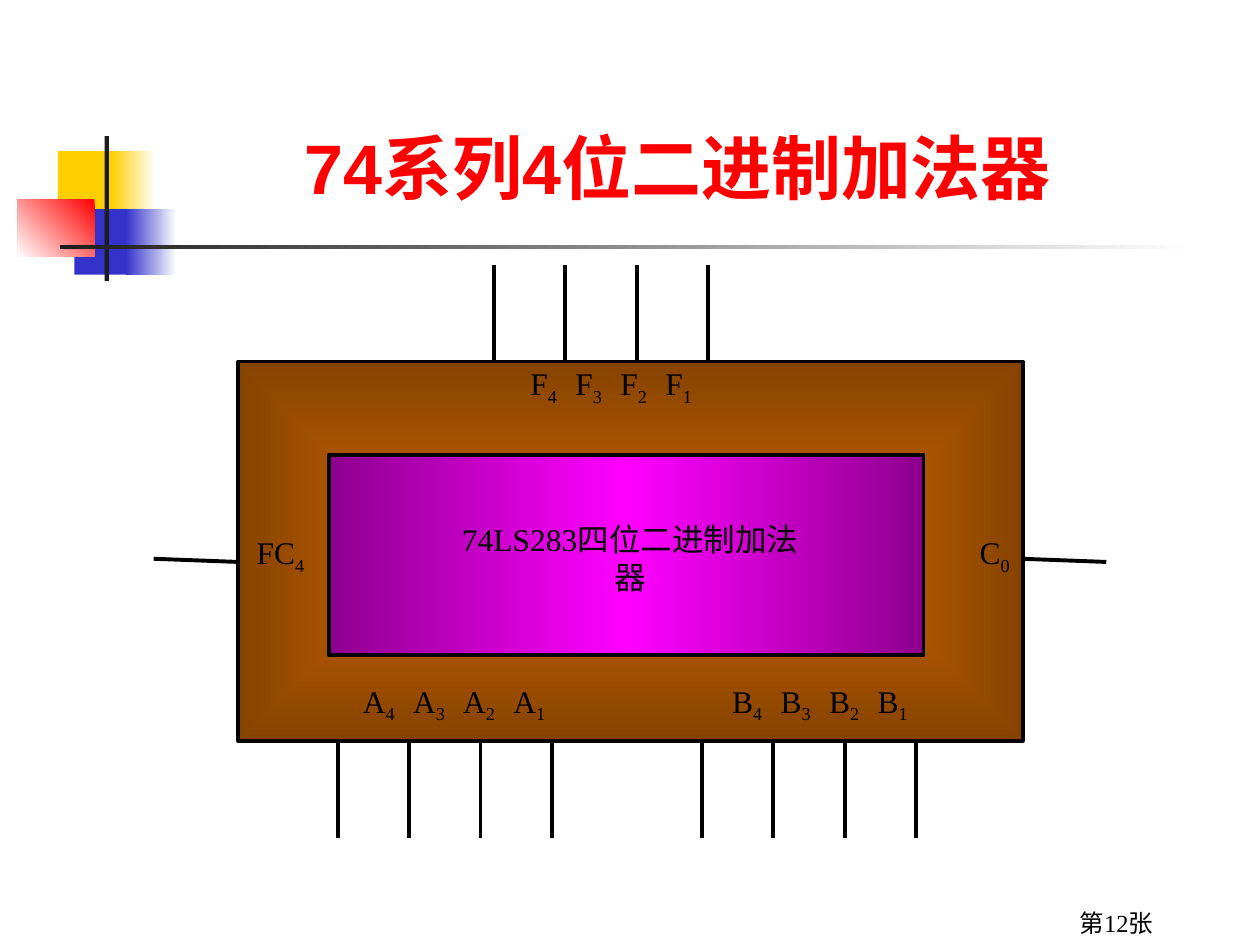
from collections import namedtuple
from lxml import etree
from pptx import Presentation
from pptx import util as u
from pptx.dml.color import RGBColor
from pptx.enum import shapes, text
from pptx.oxml.ns import qn

Box = namedtuple("Box", "x y w h")
CELL = u.Inches(10) // 100
THEME = dict(
    black="000000", ink="1C1C1C", white="FFFFFF", red="FF0000",
    yellow="FFCF01", blue="3333CC", brown="CC6600", brown_dark="864300",
    magenta="FF00FF", purple="8E008E",
    serif="Times New Roman", sans="Arial",
    title=40, label=18, footer=14, border=2, pin=2.25,
)


def cells(*values):
    return [round(v * CELL) for v in values]


def inside(box, x, y, w=0, h=0):
    return Box(box.x + x, box.y + y, w, h)


def rgb(name):
    return RGBColor.from_string(THEME[name])


def apply(obj, **values):
    for name, value in values.items():
        setattr(obj, name, value)


def gradient(sp, names, angle=None):
    sp.fill.gradient()
    grad = sp._element.spPr.find(qn("a:gradFill"))
    for child in list(grad):
        grad.remove(child)
    stops = etree.SubElement(grad, qn("a:gsLst"))
    for i, name in enumerate(names):
        gs = etree.SubElement(stops, qn("a:gs"), pos=str(100000 * i // (len(names) - 1)))
        etree.SubElement(gs, qn("a:srgbClr"), val=THEME[name])
    if angle is None:
        path = etree.SubElement(grad, qn("a:path"), path="rect")
        etree.SubElement(path, qn("a:fillToRect"), l="50000", t="50000", r="50000", b="50000")
    else:
        etree.SubElement(grad, qn("a:lin"), ang=str(angle * 60000), scaled="0")


def rect(s, box, names, angle=None, border=False):
    sp = s.shapes.add_shape(shapes.MSO_SHAPE.RECTANGLE, *cells(*box))
    sp.shadow.inherit = False
    if len(names) == 1:
        sp.fill.solid()
        sp.fill.fore_color.rgb = rgb(names[0])
    else:
        gradient(sp, names, angle)
    if border:
        sp.line.color.rgb = rgb("black")
        sp.line.width = u.Pt(THEME["border"])
    else:
        sp.line.fill.background()


def wire(s, start, end):
    ln = s.shapes.add_connector(
        shapes.MSO_CONNECTOR.STRAIGHT, *cells(start.x, start.y, end.x, end.y))
    ln.line.color.rgb = rgb("black")
    ln.line.width = u.Pt(THEME["pin"])
    etree.SubElement(ln._element.spPr, qn("a:effectLst"))


def label(s, box, runs, size="label", align=text.PP_ALIGN.CENTER,
          anchor=text.MSO_ANCHOR.MIDDLE, wrap=False, indent=1, tabs=()):
    tf = s.shapes.add_textbox(*cells(*box)).text_frame
    apply(tf, word_wrap=wrap, vertical_anchor=anchor, margin_left=cells(indent)[0])
    p = tf.paragraphs[0]
    p.alignment = align
    if tabs:
        stops = etree.SubElement(p._p.get_or_add_pPr(), qn("a:tabLst"))
        for pos in cells(*tabs):
            etree.SubElement(stops, qn("a:tab"), pos=str(pos), algn="l")
    for content, lowered in runs:
        r = p.add_run()
        r.text = content
        apply(r.font, size=u.Pt(THEME[size]), name=THEME["serif"])
        r.font.color.rgb = rgb("black")
        if lowered:
            r._r.get_or_add_rPr().set("baseline", "-25000")


def ornament(s, box):
    for x, y, w, h, names, angle in (
        (3.2, 1.2, 4.8, 5.2, ["yellow"], None),
        (7.4, 1.2, 3.6, 5.2, ["white", "yellow"], 180),
        (4.5, 5.8, 4.6, 5.2, ["blue"], None),
        (8.6, 5.8, 4, 5.2, ["white", "blue"], 180),
        (0, 5, 6.1, 4.6, ["red", "white"], 135),
        (6.9, 0, 0.35, 11.5, ["ink"], None),
        (3.4, 8.65, 90, 0.35, ["white", "ink"], 180),
    ):
        rect(s, inside(box, x, y, w, h), names, angle)


def title(s, box):
    sp = s.shapes.title
    for name, value in zip(("left", "top", "width", "height"), cells(*box)):
        setattr(sp, name, value)
    tf = sp.text_frame
    apply(tf, word_wrap=True, auto_size=text.MSO_AUTO_SIZE.NONE,
          vertical_anchor=text.MSO_ANCHOR.TOP)
    p = tf.paragraphs[0]
    p.alignment = text.PP_ALIGN.CENTER
    r = p.add_run()
    r.text = "74系列4位二进制加法器"
    apply(r.font, size=u.Pt(THEME["title"]), name=THEME["sans"], bold=True)
    r.font.color.rgb = rgb("red")


def bus(s, box, letter, label_y, pin_y, indent, pitch):
    for i in range(4):
        x = 2.6 + 5.67 * i
        wire(s, inside(box, x, pin_y), inside(box, x, pin_y + 7.75))
    runs = []
    for n in (4, 3, 2, 1):
        runs += [(letter, False), (f"{n}\t" if n > 1 else "1", True)]
    label(s, inside(box, 0, label_y, 23.8, 3.8), runs, align=text.PP_ALIGN.LEFT,
          indent=indent, tabs=[pitch * i for i in (1, 2, 3)])


def chip(s, box):
    rect(s, inside(box, 6.7, 7.7, 62.3, 30.1), ["brown", "brown_dark"], border=True)
    rect(s, inside(box, 13.9, 15.1, 47.2, 15.9), ["purple", "magenta", "purple"], 180, True)
    label(s, inside(box, 22.9, 20.5, 29.8, 5.6), [("74LS283四位二进制加法器", False)])
    for wire_x, label_x, name, digit in ((0, 6.7, "FC", "4"), (68.9, 63.4, "C", "0")):
        wire(s, inside(box, wire_x, 23.35), inside(box, wire_x + 6.7, 23.6))
        label(s, inside(box, label_x, 21.1, 6.7, 3.8), [(name, False), (digit, True)])
    for x, letter, label_y, pin_y, indent, pitch in (
        (24.4, "F", 7.7, 0, 5.5, 3.57),
        (12, "A", 32.9, 37.8, 4.6, 3.98),
        (40.9, "B", 32.9, 37.8, 5, 3.85),
    ):
        bus(s, inside(box, x, 0), letter, label_y, pin_y, indent, pitch)


def footer(s, box):
    label(s, box, [("第12张", False)], "footer", text.PP_ALIGN.RIGHT,
          text.MSO_ANCHOR.TOP, True)


def main():
    prs = Presentation()
    prs.slide_width, prs.slide_height = cells(100, 75)
    s = prs.slides.add_slide(prs.slide_layouts[5])
    ornament(s, Box(1.4, 10.8, 93.4, 11.5))
    title(s, Box(11.3, 9.4, 85, 9.8))
    chip(s, Box(12.2, 21, 75.6, 45.6))
    footer(s, Box(71.7, 71.6, 20.8, 3.3))
    prs.save("out.pptx")


if __name__ == "__main__":
    main()
